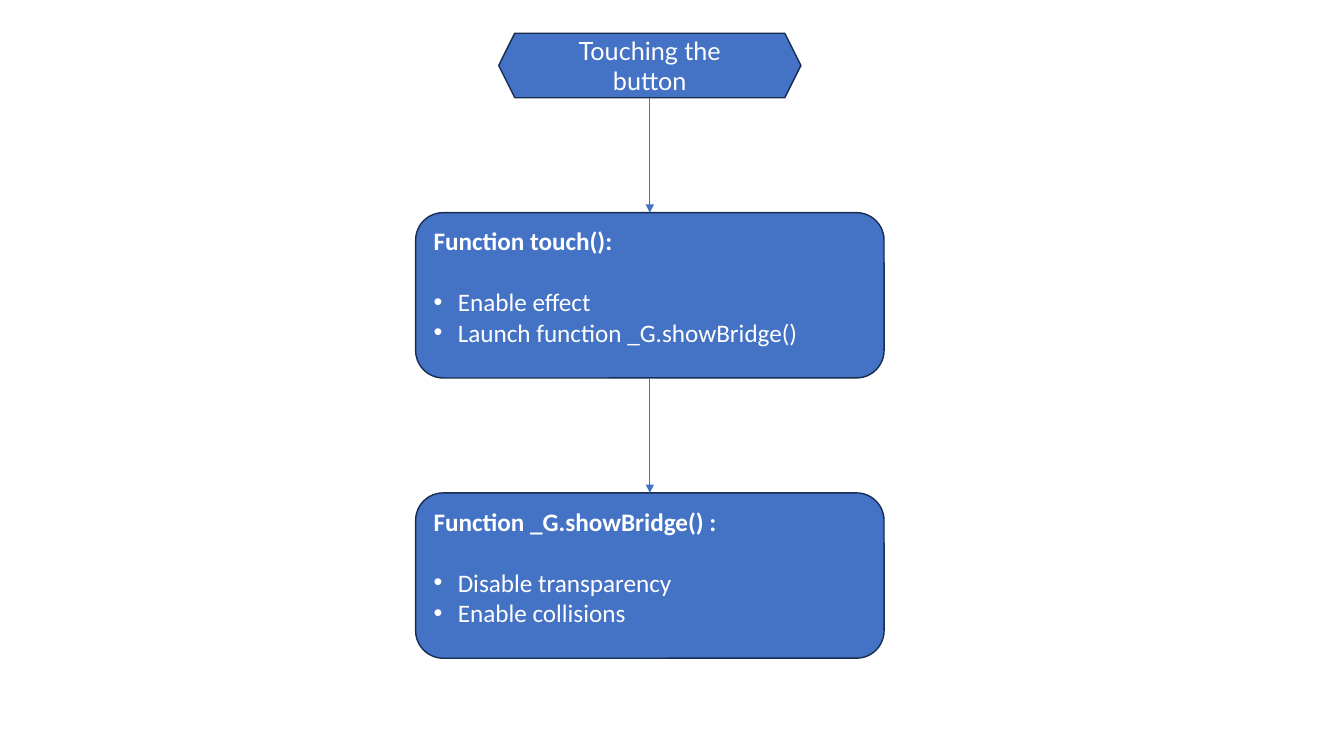
from lxml.etree import SubElement
from pptx import Presentation
from pptx.dml.color import RGBColor
from pptx.enum.shapes import MSO_CONNECTOR, MSO_SHAPE
from pptx.enum.text import MSO_ANCHOR, PP_ALIGN
from pptx.oxml.ns import qn
from pptx.util import Inches, Pt

BLUE = "4472C4"
NAVY = "172C51"
WHITE = "FFFFFF"

CENTER_X = 6.45
START_TOP, START_WIDTH, START_HEIGHT = 0.33, 3, 0.64
STEP_WIDTH, STEP_HEIGHT = 4.65, 1.64
ARROW_LENGTH = 1.14
BULLET_INDENT = Inches(0.24)
TOP, BOTTOM = 0, 2

STEPS = [
    ("Function touch():",
     ["Enable effect", "Launch function _G.showBridge()"]),
    ("Function _G.showBridge() :",
     ["Disable transparency", "Enable collisions"]),
]


def color(hex_value):
    return RGBColor.from_string(hex_value)


def add_node(slide, preset, top, width, height, anchor):
    """Add an outlined blue shape centred on the flow axis."""
    node = slide.shapes.add_shape(
        preset, Inches(CENTER_X - width / 2), Inches(top),
        Inches(width), Inches(height))
    node.shadow.inherit = False
    node.fill.solid()
    node.fill.fore_color.rgb = color(BLUE)
    node.line.color.rgb = color(NAVY)
    node.line.width = Pt(1)
    node.text_frame.word_wrap = True
    node.text_frame.vertical_anchor = anchor
    return node


def write(paragraph, text, align=PP_ALIGN.LEFT, font="Calibri", bold=False):
    paragraph.text = text
    paragraph.alignment = align
    paragraph.font.name = font
    paragraph.font.size = Pt(18)
    paragraph.font.bold = bold
    paragraph.font.color.rgb = color(WHITE)


def add_bullet(paragraph):
    properties = paragraph._p.get_or_add_pPr()
    properties.set("marL", str(BULLET_INDENT))
    properties.set("indent", str(-BULLET_INDENT))
    SubElement(properties, qn("a:buFont"), typeface="Arial")
    SubElement(properties, qn("a:buChar"), char="•")


def add_start(slide, text):
    start = add_node(slide, MSO_SHAPE.HEXAGON, START_TOP, START_WIDTH,
                     START_HEIGHT, MSO_ANCHOR.MIDDLE)
    write(start.text_frame.paragraphs[0], text, PP_ALIGN.CENTER, "Lato")


def add_step(slide, top, heading, actions):
    step = add_node(slide, MSO_SHAPE.ROUNDED_RECTANGLE, top, STEP_WIDTH,
                    STEP_HEIGHT, MSO_ANCHOR.TOP)
    title = step.text_frame.paragraphs[0]
    title.space_after = Pt(22)
    write(title, heading, bold=True)
    for action in actions:
        item = step.text_frame.add_paragraph()
        add_bullet(item)
        write(item, action)
    return step


def add_arrow(slide, top, source, target):
    """Add a downward arrow; the hexagon has no bottom site, so source may be None."""
    arrow = slide.shapes.add_connector(
        MSO_CONNECTOR.STRAIGHT, Inches(CENTER_X), Inches(top),
        Inches(CENTER_X), Inches(top + ARROW_LENGTH))
    if source is not None:
        arrow.begin_connect(source, BOTTOM)
    arrow.end_connect(target, TOP)
    arrow.line.color.rgb = color(BLUE)
    arrow.line.width = Pt(0.5)
    SubElement(arrow.line._get_or_add_ln(), qn("a:tailEnd"), type="triangle")
    SubElement(arrow._element.spPr, qn("a:effectLst"))


def main():
    presentation = Presentation()
    presentation.slide_width = Inches(13.34)
    presentation.slide_height = Inches(7.5)
    slide = presentation.slides.add_slide(presentation.slide_layouts[6])

    add_start(slide, "Touching the button")
    previous = None
    bottom = START_TOP + START_HEIGHT
    for heading, actions in STEPS:
        step_top = bottom + ARROW_LENGTH
        step = add_step(slide, step_top, heading, actions)
        add_arrow(slide, bottom, previous, step)
        previous = step
        bottom = step_top + STEP_HEIGHT

    presentation.save("out.pptx")


if __name__ == "__main__":
    main()
